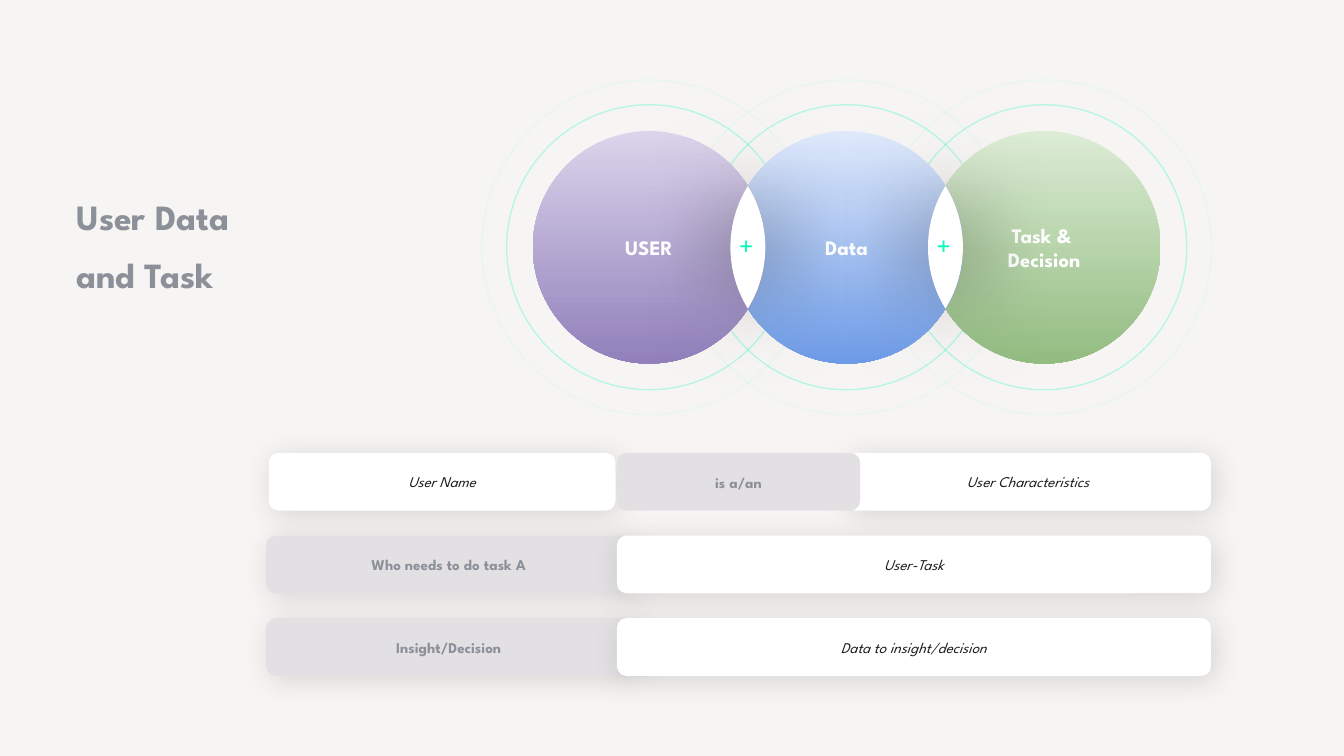
import math
from lxml import etree
from pptx import Presentation, util as u
from pptx.dml.color import RGBColor
from pptx.enum import shapes, text
from pptx.oxml.ns import qn

HUES = {
    "paper": "F7F5F4", "white": "FFFFFF", "mist": "E3E0E4",
    "gray": "8C9098", "ink": "1B1E20", "mint": "06FBBA", "black": "000000",
}
DISCS = [
    ("USER", "DBD4EB", "9180BB"),
    ("Data", "DFE9FB", "6E9BE7"),
    ("Task & \nDecision", "DCECD5", "93BC81"),
]
FONT = "League Spartan"
FIRST, STEP, MID = 4.83, 1.47, 1.84
DISC, RING, HALO = 1.73, 2.12, 2.49
LEFT, SPLIT, RIGHT = 2, 4.59, 9.01
TOP, PITCH, TALL = 3.37, 0.615, 0.43
KIND = shapes.MSO_SHAPE


def hue(name):
    return RGBColor.from_string(HUES.get(name, name))


def place(item, x, y, w, h):
    item.left, item.top = u.Inches(x), u.Inches(y)
    item.width, item.height = u.Inches(w), u.Inches(h)


def pad(frame, x, top, low):
    frame.margin_left = frame.margin_right = u.Inches(x)
    frame.margin_top, frame.margin_bottom = u.Inches(top), u.Inches(low)


def write(item, words, size, color, bold=False, italic=False,
          align=text.PP_ALIGN.CENTER, anchor=text.MSO_ANCHOR.MIDDLE):
    frame = item.text_frame
    frame.text = words
    frame.word_wrap = True
    frame.vertical_anchor = anchor
    for line in frame.paragraphs:
        line.alignment = align
        for run in line.runs:
            font = run.font
            font.name, font.size = FONT, u.Pt(size)
            font.bold, font.italic = bold, italic
            font.color.rgb = hue(color)


def alpha(node, share):
    etree.SubElement(node, qn("a:alpha"), val=str(share * 1000))


def shade(item, share, blur, dist, angle):
    glow = etree.SubElement(
        item.element.spPr.find(qn("a:effectLst")), qn("a:outerShdw"),
        blurRad=str(u.Pt(blur)), dist=str(u.Pt(dist)),
        dir=str(angle * 60000), algn="ctr", rotWithShape="0")
    alpha(etree.SubElement(glow, qn("a:srgbClr"), val=HUES["black"]), share)


def paint(item, color):
    item.shadow.inherit = False
    item.fill.solid()
    item.fill.fore_color.rgb = hue(color)
    item.line.fill.background()


def circle(slide, col, size):
    x = FIRST + col * STEP - size / 2
    item = slide.shapes.add_shape(KIND.OVAL, 0, 0, 0, 0)
    place(item, x, MID - size / 2, size, size)
    item.shadow.inherit = False
    return item


def ring(slide, col, size, share):
    item = circle(slide, col, size)
    item.fill.background()
    item.line.color.rgb = hue("mint")
    item.line.width = u.Pt(0.75)
    alpha(item.element.spPr.xpath("a:ln//a:srgbClr")[0], share)
    shade(item, 20, 43, 16, 45)


def disc(slide, col, words, light, dark):
    item = circle(slide, col, DISC)
    item.fill.gradient()
    item.fill.gradient_angle = 270
    for stop, color in zip(item.fill.gradient_stops, (light, dark)):
        stop.color.rgb = hue(color)
    item.line.fill.background()
    write(item, words, 11, "white", bold=True)
    pad(item.text_frame, 0, 0, 0)


def lens(slide, col):
    x = FIRST + (col + 0.5) * STEP
    rad, half = DISC / 2, STEP / 2
    span = math.acos(half / rad)
    turns = [span * (i / 12 - 1) for i in range(25)]
    arc = [(rad * math.cos(t) - half, rad * math.sin(t)) for t in turns]
    dots = arc + [(-a, -b) for a, b in arc[1:-1]]
    spots = [(u.Inches(x + a), u.Inches(MID + b)) for a, b in dots]
    pen = slide.shapes.build_freeform(*spots[0])
    pen.add_line_segments(spots[1:], close=True)
    item = pen.convert_to_shape()
    paint(item, "white")
    shade(item, 55, 46, 0, 0)
    plus = slide.shapes.add_textbox(0, 0, 0, 0)
    place(plus, x - 0.455, MID - 0.13, 0.91, 0.26)
    plus.rotation = 90
    write(plus, "+", 15, "mint")
    pad(plus.text_frame, 0, 0.04, 0.04)


def card(slide, row, x, end, words, label=False, kind=KIND.ROUNDED_RECTANGLE,
         lift=True):
    item = slide.shapes.add_shape(kind, 0, 0, 0, 0)
    place(item, x, TOP + row * PITCH, end - x, TALL)
    for i, bend in enumerate((0.167, 0.181)[:len(item.adjustments)]):
        item.adjustments[i] = bend
    paint(item, "mist" if label else "white")
    if lift:
        shade(item, 12, 15.5, 3, 45)
    write(item, words, 8, "gray" if label else "ink", label, not label)
    pad(item.text_frame, 0.07, 0.05 if label else 0.04, 0.04)


def title(slide, words):
    item = slide.shapes.title
    place(item, 0.5, 1.3, 2.49, 1.13)
    write(item, words, 19, "gray", bold=True, align=text.PP_ALIGN.LEFT,
          anchor=text.MSO_ANCHOR.TOP)
    frame = item.text_frame
    pad(frame, 0.07, 0.04, 0.04)
    frame.auto_size = text.MSO_AUTO_SIZE.SHAPE_TO_FIT_TEXT
    for line in frame.paragraphs:
        line.line_spacing = 1.36
        line.space_before = u.Pt(0)


def main():
    deck = Presentation()
    deck.slide_width, deck.slide_height = u.Inches(10), u.Inches(5.625)
    slide = deck.slides.add_slide(deck.slide_layouts[5])
    slide.background.fill.solid()
    slide.background.fill.fore_color.rgb = hue("paper")
    title(slide, "User Data \nand Task")
    for size, share in ((HALO, 5), (RING, 25)):
        for col in range(len(DISCS)):
            ring(slide, col, size, share)
    for col in reversed(range(len(DISCS))):
        disc(slide, col, *DISCS[col])
    card(slide, 0, LEFT, SPLIT - 0.01, "User Name")
    card(slide, 0, 6.29, RIGHT, "User Characteristics")
    tasks = [("Who needs to do task A", "User-Task"),
             ("Insight/Decision", "Data to insight/decision")]
    for row, (label, words) in enumerate(tasks, 1):
        card(slide, row, LEFT - 0.02, 4.7, label, True,
             KIND.ROUND_2_SAME_RECTANGLE)
        card(slide, row, SPLIT, RIGHT, words)
    for col in range(len(DISCS) - 1):
        lens(slide, col)
    card(slide, 0, SPLIT, 6.4, "is a/an", True, lift=False)
    deck.save("out.pptx")


main()
